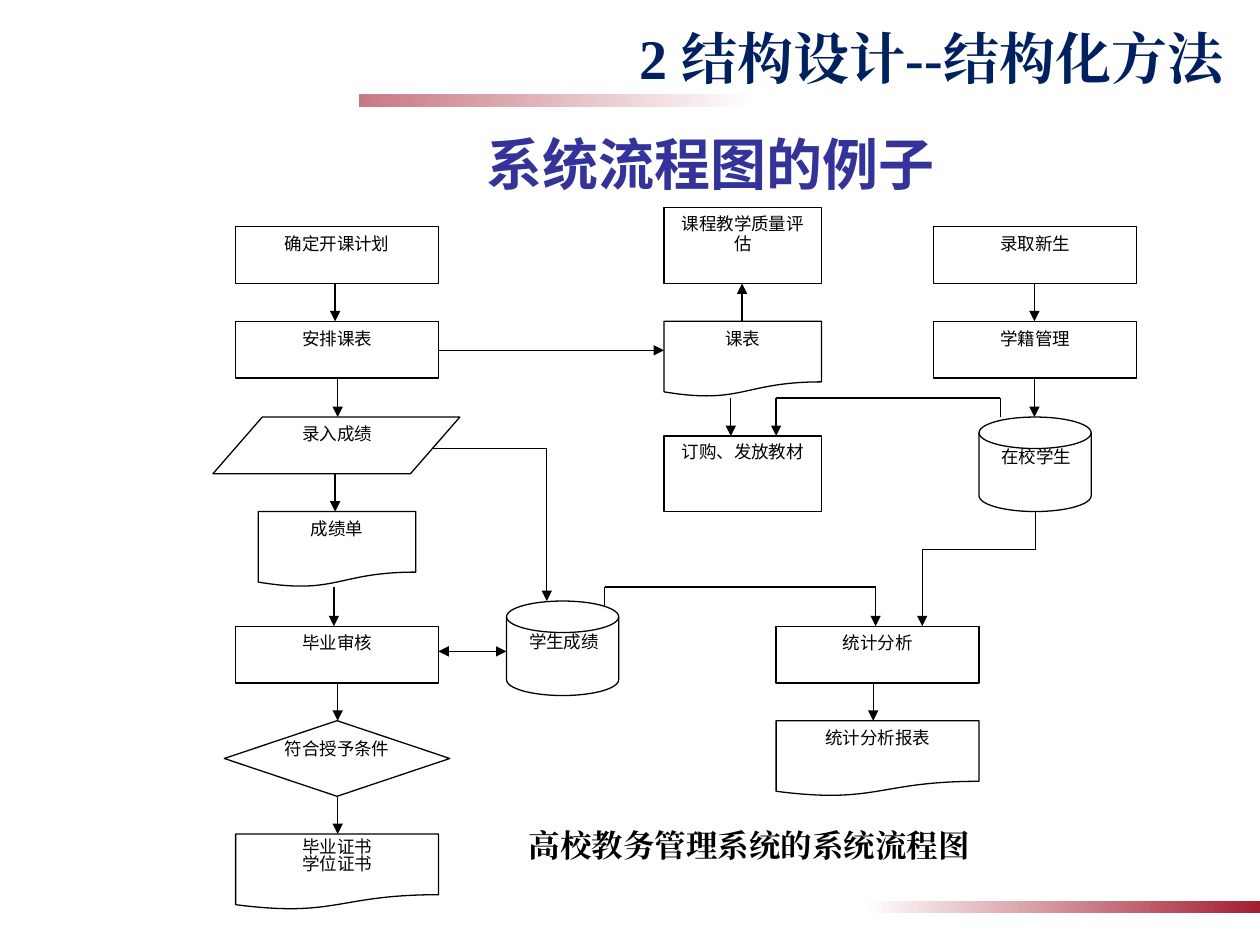
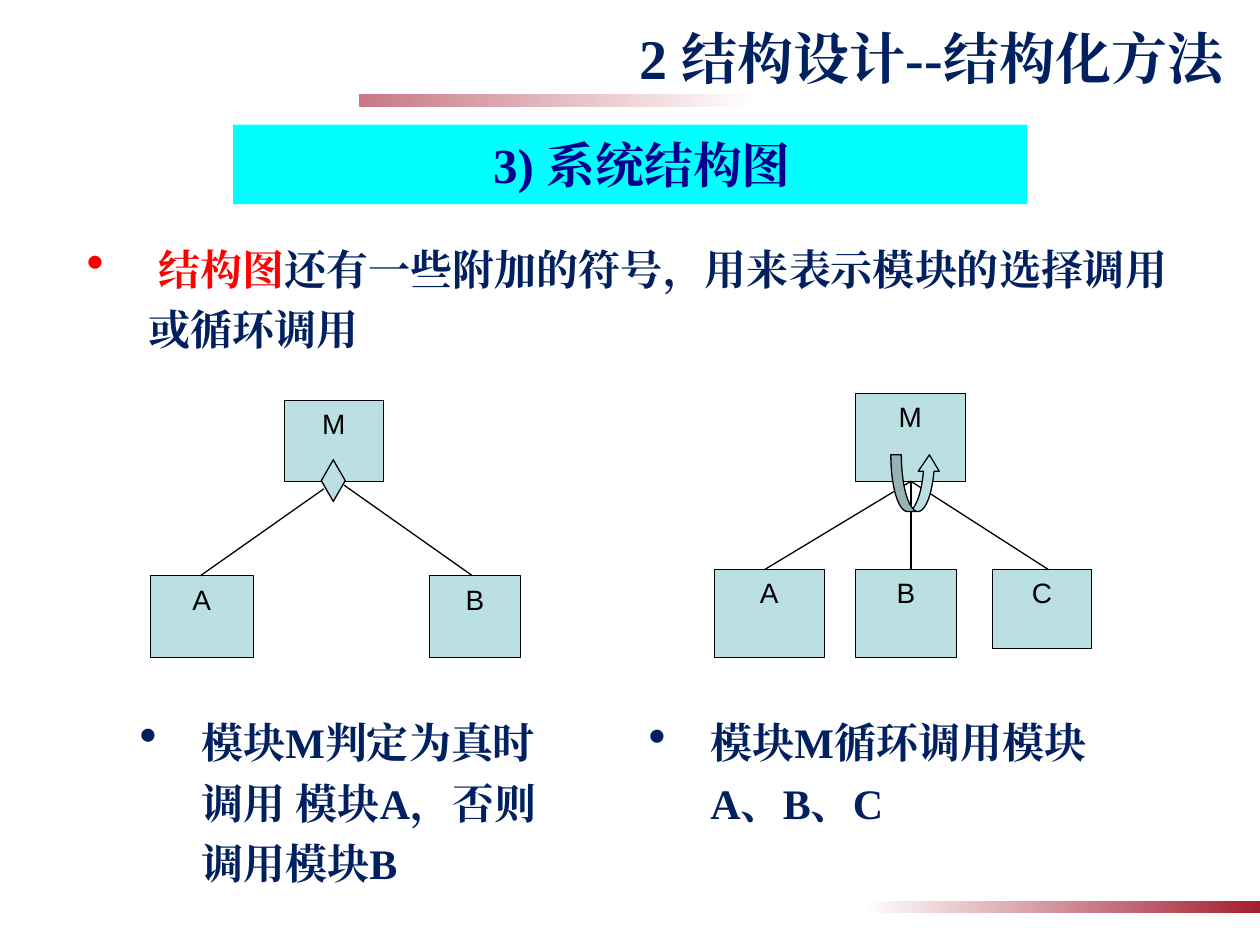
import pptx
import pptx.dml.color
import pptx.enum.dml
import pptx.enum.shapes
import pptx.enum.text
import pptx.oxml.ns
import pptx.util
from lxml import etree

Inches = pptx.util.Inches
Pt = pptx.util.Pt
Shape = pptx.enum.shapes.MSO_SHAPE
Align = pptx.enum.text.PP_ALIGN
Anchor = pptx.enum.text.MSO_ANCHOR
qn = pptx.oxml.ns.qn

COLORS = {
    "white": "FFFFFF",
    "black": "000000",
    "crimson": "A41E31",
    "rose": "C87883",
    "navy": "002060",
    "indigo": "333399",
    "deep_blue": "000090",
    "cyan": "00FFFF",
    "red": "FF0000",
    "module": "BBE0E3",
}
SERIF, SANS, CHINESE = "Times New Roman", "Arial", "Noto Sans CJK SC"
CHAPTER_TITLE = "2 结构设计--结构化方法"


def rgb(name):
    return pptx.dml.color.RGBColor.from_string(COLORS[name])


def format_run(run, size, font, color, bold):
    run.font.size = Pt(size)
    run.font.name = font
    run.font.bold = bold
    run.font.color.rgb = rgb(color)
    etree.SubElement(run.font._element, qn("a:ea"), typeface=font)


def write(shape, text, size, font=SERIF, color="black", bold=False,
          align=Align.CENTER, anchor=Anchor.TOP, spacing=None):
    frame = shape.text_frame
    frame.word_wrap = True
    frame.vertical_anchor = anchor
    frame.text = text
    for paragraph in frame.paragraphs:
        paragraph.alignment = align
        if spacing:
            paragraph.line_spacing = spacing
        for run in paragraph.runs:
            format_run(run, size, font, color, bold)


def add_text(slide, box, text, size, **style):
    text_box = slide.shapes.add_textbox(*map(Inches, box))
    write(text_box, text, size, **style)
    return text_box


def add_shape(slide, kind, box, fill, line_width=None):
    shape = slide.shapes.add_shape(kind, *map(Inches, box))
    shape.shadow.inherit = False
    shape.fill.solid()
    shape.fill.fore_color.rgb = rgb(fill)
    if line_width:
        shape.line.color.rgb = rgb("black")
        shape.line.width = Pt(line_width)
    else:
        shape.line.fill.background()
    return shape


def add_line(slide, start, end, arrows=()):
    """Draw a thin line; arrows may name headEnd and tailEnd."""
    line = slide.shapes.add_connector(
        pptx.enum.shapes.MSO_CONNECTOR.STRAIGHT, *map(Inches, start + end))
    line.line.color.rgb = rgb("black")
    line.line.width = Pt(0.75)
    for arrow in arrows:
        etree.SubElement(line.line._get_or_add_ln(), qn("a:" + arrow), type="triangle")
    etree.SubElement(line._element.spPr, qn("a:effectLst"))


def add_bullet(slide, box, parts):
    """Write one bulleted paragraph from (text, color) parts."""
    text_box = slide.shapes.add_textbox(*map(Inches, box))
    text_box.text_frame.word_wrap = True
    paragraph = text_box.text_frame.paragraphs[0]
    properties = paragraph._p.get_or_add_pPr()
    properties.set("marL", str(Inches(0.49)))
    properties.set("indent", str(-Inches(0.49)))
    etree.SubElement(properties, qn("a:buSzPct"), val="120000")
    etree.SubElement(properties, qn("a:buChar"), char="•")
    paragraph.line_spacing = 1.2
    for text, color in parts:
        run = paragraph.add_run()
        run.text = text
        format_run(run, 24, SERIF, color, True)


def offset(left, top, box):
    return (left + box[0], top + box[1]) + tuple(box[2:])


def add_band(slide, box, first, last):
    band = add_shape(slide, Shape.RECTANGLE, box, first)
    band.fill.gradient()
    band.fill.gradient_angle = 0
    for stop, color in zip(band.fill.gradient_stops, (first, last)):
        stop.color.rgb = rgb(color)


def add_chapter_slide(presentation):
    slide = presentation.slides.add_slide(presentation.slide_layouts[6])
    add_band(slide, (2.85, 0.75, 3.15, 0.1), "rose", "white")
    add_band(slide, (6.85, 7.15, 3.15, 0.1), "white", "crimson")
    add_text(slide, (0.66, 0.13, 9.15, 0.65), CHAPTER_TITLE, 32, color="navy",
             bold=True, align=Align.RIGHT, anchor=Anchor.MIDDLE)
    return slide


# Each step: text, left, top, width, height, line spacing
PROCESSES = [
    ("确定开课计划", 0.18, 0.15, 1.61, 0.45, None),
    ("课程教学质量评估", 3.58, 0, 1.25, 0.6, 0.96),
    ("录取新生", 5.72, 0.15, 1.61, 0.45, None),
    ("学籍管理", 5.72, 0.9, 1.61, 0.45, None),
    ("安排课表", 0.18, 0.9, 1.61, 0.45, None),
    ("订购、发放教材", 3.58, 1.81, 1.25, 0.6, 0.96),
    ("毕业审核", 0.18, 3.32, 1.61, 0.45, None),
    ("统计分析", 4.47, 3.32, 1.61, 0.45, None),
]
# Each symbol: kind, text, box, label box, line spacing
DOCUMENT, DISK = Shape.FLOWCHART_DOCUMENT, Shape.FLOWCHART_MAGNETIC_DISK
SYMBOLS = [
    (DOCUMENT, "课表", (3.58, 0.9, 1.25, 0.6), (3.58, 0.9, 1.25, 0.45), None),
    (Shape.FLOWCHART_DATA, "录入成绩", (0, 1.66, 1.96, 0.45), (0.36, 1.66, 1.25, 0.45), None),
    (DOCUMENT, "成绩单", (0.36, 2.41, 1.25, 0.6), (0.36, 2.41, 1.25, 0.45), None),
    (DISK, "在校学生", (6.08, 1.66, 0.89, 0.75), (6.09, 1.85, 0.89, 0.6), 0.96),
    (DISK, "学生成绩", (2.33, 3.12, 0.89, 0.75), (2.34, 3.32, 0.89, 0.6), 0.96),
    (Shape.FLOWCHART_DECISION, "符合授予条件", (0.09, 4.07, 1.79, 0.6),
     (0.09, 4.16, 1.79, 0.45), None),
    (DOCUMENT, "毕业证书\n学位证书", (0.18, 4.97, 1.61, 0.6), (0.18, 4.97, 1.61, 0.6), 0.8),
    (DOCUMENT, "统计分析报表", (4.47, 4.07, 1.61, 0.6), (4.47, 4.07, 1.61, 0.45), None),
]
# Each vertical arrow: x, start y, end y
VERTICAL_ARROWS = [
    (0.97, 0.6, 0.9), (0.99, 1.35, 1.66), (0.97, 2.11, 2.41),
    (0.96, 3.01, 3.32), (0.99, 3.77, 4.07), (0.99, 4.67, 4.97),
    (6.52, 0.6, 0.9), (6.52, 1.35, 1.66),
    (4.2, 0.9, 0.6), (4.11, 1.51, 1.81), (5.24, 3.77, 4.07),
]
# Each route ends in an arrow
ROUTES = [
    [(1.79, 1.13), (3.58, 1.13)],
    [(1.74, 1.91), (2.65, 1.91), (2.65, 3.12)],
    [(6.25, 1.66), (6.25, 1.51), (4.47, 1.51), (4.47, 1.81)],
    [(3.11, 3.16), (3.11, 3.01), (5.26, 3.01), (5.26, 3.32)],
    [(6.53, 2.41), (6.53, 2.71), (5.63, 2.71), (5.63, 3.32)],
]


def add_flowchart(slide, left, top):
    for text, x, y, width, height, spacing in PROCESSES:
        process = add_shape(slide, Shape.RECTANGLE, (left + x, top + y, width, height),
                            "white", 0.75)
        write(process, text, 10, SANS, spacing=spacing)
    for kind, text, box, label_box, spacing in SYMBOLS:
        add_shape(slide, kind, offset(left, top, box), "white", 0.75)
        add_text(slide, offset(left, top, label_box), text, 10, font=SANS, spacing=spacing)
    arrows = [[(x, start), (x, end)] for x, start, end in VERTICAL_ARROWS]
    for route in arrows + ROUTES:
        points = [offset(left, top, point) for point in route]
        for start, end in zip(points, points[1:]):
            add_line(slide, start, end, ["tailEnd"] if end == points[-1] else ())
    add_line(slide, offset(left, top, (1.79, 3.52)), offset(left, top, (2.33, 3.52)),
             ["headEnd", "tailEnd"])
    add_text(slide, offset(left, top, (2.29, 4.86, 3.93, 0.45)),
             "高校教务管理系统的系统流程图", 18, bold=True)


def add_module_tree(slide, left, top, modules, calls, marker, caption):
    """Draw modules, their call lines, the call marker and the bulleted caption."""
    for name, *box in modules:
        module = add_shape(slide, Shape.RECTANGLE, offset(left, top, box), "module", 0.5)
        write(module, name, 16, SANS)
    for start, end in calls:
        add_line(slide, offset(left, top, start), offset(left, top, end))
    kind, marker_box = marker
    symbol = add_shape(slide, kind, offset(left, top, marker_box), "module", 0.75)
    if kind == Shape.CURVED_UP_ARROW:
        for index, value in enumerate((0.214, 0.428, 0.333)):
            symbol.adjustments[index] = value
    text, width, height = caption
    add_bullet(slide, (left, top + 2.44, width, height), [(text, "navy")])


def add_flowchart_slide(presentation):
    slide = add_chapter_slide(presentation)
    add_text(slide, (0.99, 0.96, 6.53, 0.67), "系统流程图的例子", 32, font=CHINESE,
             color="indigo", bold=True, align=Align.RIGHT, anchor=Anchor.MIDDLE)
    add_flowchart(slide, 1.69, 1.65)


def add_structure_slide(presentation):
    slide = add_chapter_slide(presentation)
    banner = add_shape(slide, Shape.RECTANGLE, (1.85, 0.99, 6.3, 0.63), "cyan")
    write(banner, "3) 系统结构图", 28, color="deep_blue", bold=True)
    banner.text_frame.margin_left = Inches(0.29)
    banner.text_frame.margin_top = banner.text_frame.margin_bottom = Inches(0.08)
    add_bullet(slide, (0.59, 1.8, 9.06, 1.02), [
        (" 结构图", "red"),
        ("还有一些附加的符号，用来表示模块的选择调用或循环调用", "navy"),
    ])
    add_module_tree(
        slide, 1.01, 3.12,
        [("M", 1.25, 0.06, 0.78, 0.64), ("A", 0.18, 1.45, 0.82, 0.65),
         ("B", 2.4, 1.45, 0.72, 0.65)],
        [((1.56, 0.76), (0.58, 1.45)), ((1.72, 0.73), (2.74, 1.45))],
        (Shape.DIAMOND, (1.54, 0.53, 0.19, 0.33)),
        ("模块M判定为真时调用 模块A，否则调用模块B", 3.52, 1.16))
    add_module_tree(
        slide, 5.05, 3.12,
        [("M", 1.74, 0, 0.87, 0.7), ("A", 0.62, 1.4, 0.87, 0.7),
         ("B", 1.74, 1.4, 0.8, 0.7), ("C", 2.83, 1.4, 0.78, 0.63)],
        [((2.18, 0.7), (x, 1.4)) for x in (1.02, 2.18, 3.27)],
        (Shape.CURVED_UP_ARROW, (2.02, 0.49, 0.39, 0.45)),
        ("模块M循环调用模块A、B、C", 3.81, 0.79))


def main():
    presentation = pptx.Presentation()
    presentation.slide_width = Inches(10)
    presentation.slide_height = Inches(7.5)
    add_flowchart_slide(presentation)
    add_structure_slide(presentation)
    presentation.save("out.pptx")


if __name__ == "__main__":
    main()
